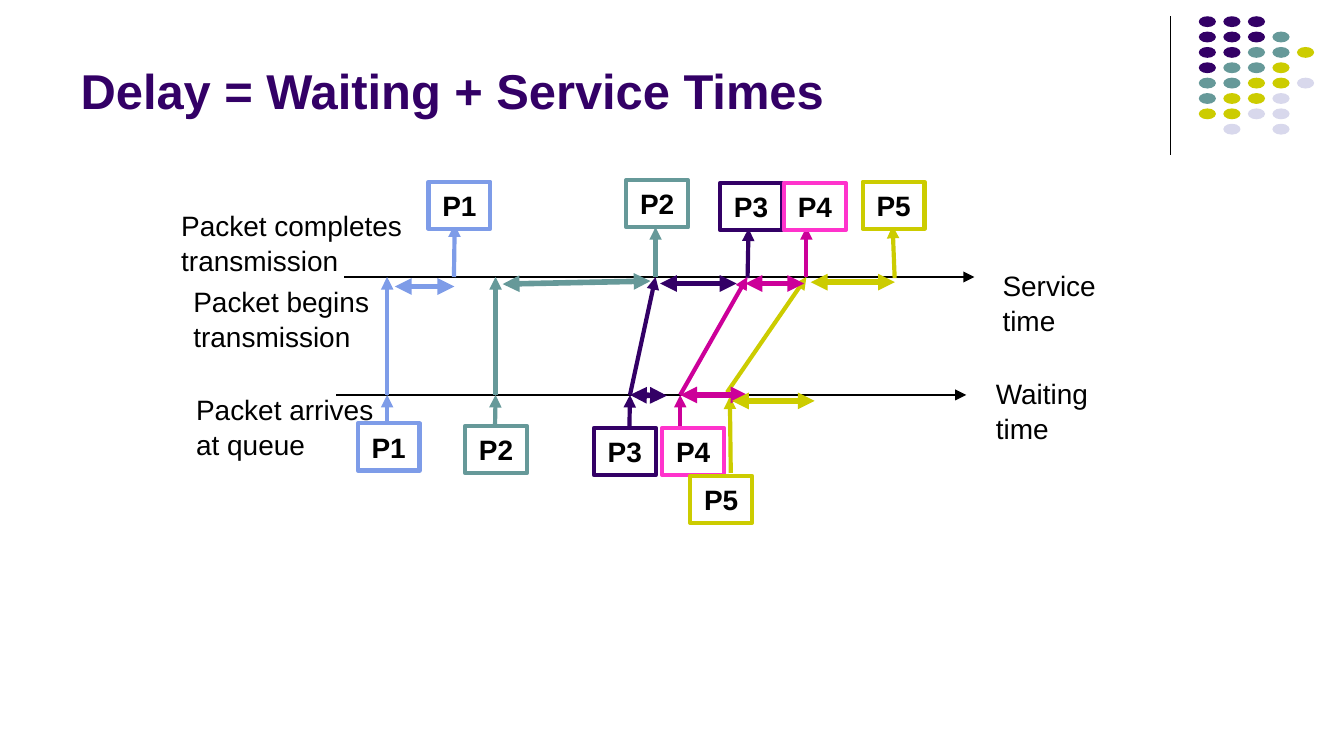
"""Build the slide on packet delay as waiting plus service times."""
from dataclasses import dataclass

from pptx import Presentation
from pptx.dml.color import RGBColor as RGB
from pptx.enum.shapes import MSO_CONNECTOR as Link, MSO_SHAPE as Form
from pptx.enum.text import MSO_ANCHOR as Anchor, MSO_AUTO_SIZE as Fit, PP_ALIGN as Align
from pptx.oxml.ns import qn
from pptx.util import Pt
from lxml.etree import SubElement as Sub


@dataclass(frozen=True)
class Theme:
    font: str = "Arial"
    head: float = 26.2
    body: float = 15
    ink: str = "000000"
    paper: str = "FFFFFF"
    plum: str = "330066"
    teal: str = "669999"
    lime: str = "CCCC00"
    mist: str = "D8D8EC"
    blue: str = "7E9CE8"
    rose: str = "CC0099"
    pink: str = "FF33CC"


theme = Theme()


def draw(ends, color, width, tips=()):
    line = slide.shapes.add_connector(Link.STRAIGHT, *map(Pt, ends))
    line.line.color.rgb = RGB.from_string(color)
    line.line.width = Pt(width)
    props = line.element.spPr
    for tip in tips:
        Sub(props.find(qn("a:ln")), qn("a:" + tip), type="triangle")
    Sub(props, qn("a:effectLst"))


def write(frame, rows, size, color, bold=False, align=Align.LEFT):
    frame.auto_size = Fit.NONE
    for i, row in enumerate(rows):
        para = frame.add_paragraph() if i else frame.paragraphs[0]
        para.alignment = align
        para.space_before = Pt(0.8 if i else 0)
        run = para.add_run()
        run.text = row
        run.font.name = theme.font
        run.font.size = Pt(size)
        run.font.bold = bold
        run.font.color.rgb = RGB.from_string(color)


deck = Presentation()
deck.slide_width, deck.slide_height = Pt(720), Pt(405)
slide = deck.slides.add_slide(deck.slide_layouts[5])

draw((627, 8.8, 627, 83), theme.ink, 0.75)
tints = {"P": theme.plum, "T": theme.teal, "Y": theme.lime, "L": theme.mist}
dots = ["PPP", "PPPT", "PPTTY", "PTTY", "TTYYL", "TYYL", "YYLL", ".L.L"]
for row, marks in enumerate(dots):
    for col, mark in enumerate(marks):
        if mark in tints:
            left, top = 642.2 + 13.15 * col, 8.7 + 8.23 * row
            dot = slide.shapes.add_shape(Form.OVAL, Pt(left), Pt(top), Pt(9.2), Pt(5.8))
            dot.shadow.inherit = False
            dot.fill.solid()
            dot.fill.fore_color.rgb = RGB.from_string(tints[mark])
            dot.line.fill.background()

title = slide.shapes.title
title.left, title.top, title.width, title.height = map(Pt, (36, 7.2, 594, 60.5))
title.text_frame.vertical_anchor = Anchor.BOTTOM
write(title.text_frame, ["Delay = Waiting + Service Times"], theme.head, theme.plum, True)

queue, serve = 211.6, 148.4
draw((180, queue, 517.7, queue), theme.ink, 1, ["tailEnd"])
draw((184.4, serve, 522, serve), theme.ink, 1, ["tailEnd"])

flows = [
    (theme.blue, (207.4, 240.5, 207.4, queue), (207.4, queue, 207.4, serve),
     (243.2, serve, 243.6, 120.2)),
    (theme.teal, (265, 239.8, 265.5, queue), (265.5, queue, 265.5, serve),
     (351.2, serve, 351.2, 121.7)),
    (theme.plum, (337, 240.5, 337.5, queue), (337.5, queue, 351.2, serve),
     (400.5, 149, 401, 122.4)),
    (theme.rose, (364.4, 239.8, 364.4, queue), (364.4, queue, 400.4, serve),
     (432, serve, 432, 121.7)),
    (theme.lime, (391.5, 253.4, 391, 212.4), (389.5, 210.2, 432, serve),
     (479.3, 149, 478.2, 121)),
]
for color, *steps in flows:
    for step in steps:
        draw(step, color, 2.25, ["tailEnd"])

labels = [
    ("Packet arrives", "at queue", 98, 206.6, 111),
    ("Packet begins", "transmission", 96.5, 149, 110),
    ("Packet completes", "transmission", 90, 108, 134),
    ("Service", "time", 530, 140.4, 65.5),
    ("Waiting", "time", 526.4, 198, 65),
]
for first, second, left, top, width in labels:
    box = slide.shapes.add_textbox(Pt(left), Pt(top), Pt(width), Pt(44))
    box.text_frame.word_wrap = False
    write(box.text_frame, [first, second], theme.body, theme.ink)

spans = [
    (theme.blue, (211.5, 153.5, 243.4, 153.5)),
    (theme.teal, (269.3, 152.2, 348.5, 150.6)),
    (theme.plum, (337.5, 211.6, 357.3, 212)),
    (theme.plum, (353.6, 151.9, 394.6, 151.9)),
    (theme.rose, (364.4, queue, 400.4, queue)),
    (theme.rose, (399.4, 151.9, 430.8, 151.9)),
    (theme.lime, (392.2, 214.8, 436.4, 214.8)),
    (theme.lime, (434.3, 151.2, 479.4, 151.2)),
]
for color, ends in spans:
    draw(ends, color, 3, ["headEnd", "tailEnd"])

packets = [
    ("P1", theme.blue, (191.7, 226.8), (229.6, 97.3)),
    ("P2", theme.teal, (249.2, 228.2), (335.5, 96.5)),
    ("P3", theme.plum, (318.2, 229.2), (385.8, 98)),
    ("P4", theme.pink, (354.8, 229.2), (420, 98)),
    ("P5", theme.lime, (369.8, 254.9), (462.2, 97.3)),
]
for name, color, *spots in packets:
    for left, top in spots:
        box = slide.shapes.add_shape(Form.RECTANGLE, Pt(left), Pt(top), Pt(33.1), Pt(25.3))
        box.shadow.inherit = False
        box.fill.solid()
        box.fill.fore_color.rgb = RGB.from_string(theme.paper)
        box.line.color.rgb = RGB.from_string(color)
        box.line.width = Pt(2.25)
        box.text_frame.word_wrap = False
        box.text_frame.vertical_anchor = Anchor.MIDDLE
        write(box.text_frame, [name], theme.body, theme.ink, True, Align.CENTER)

deck.save("out.pptx")
